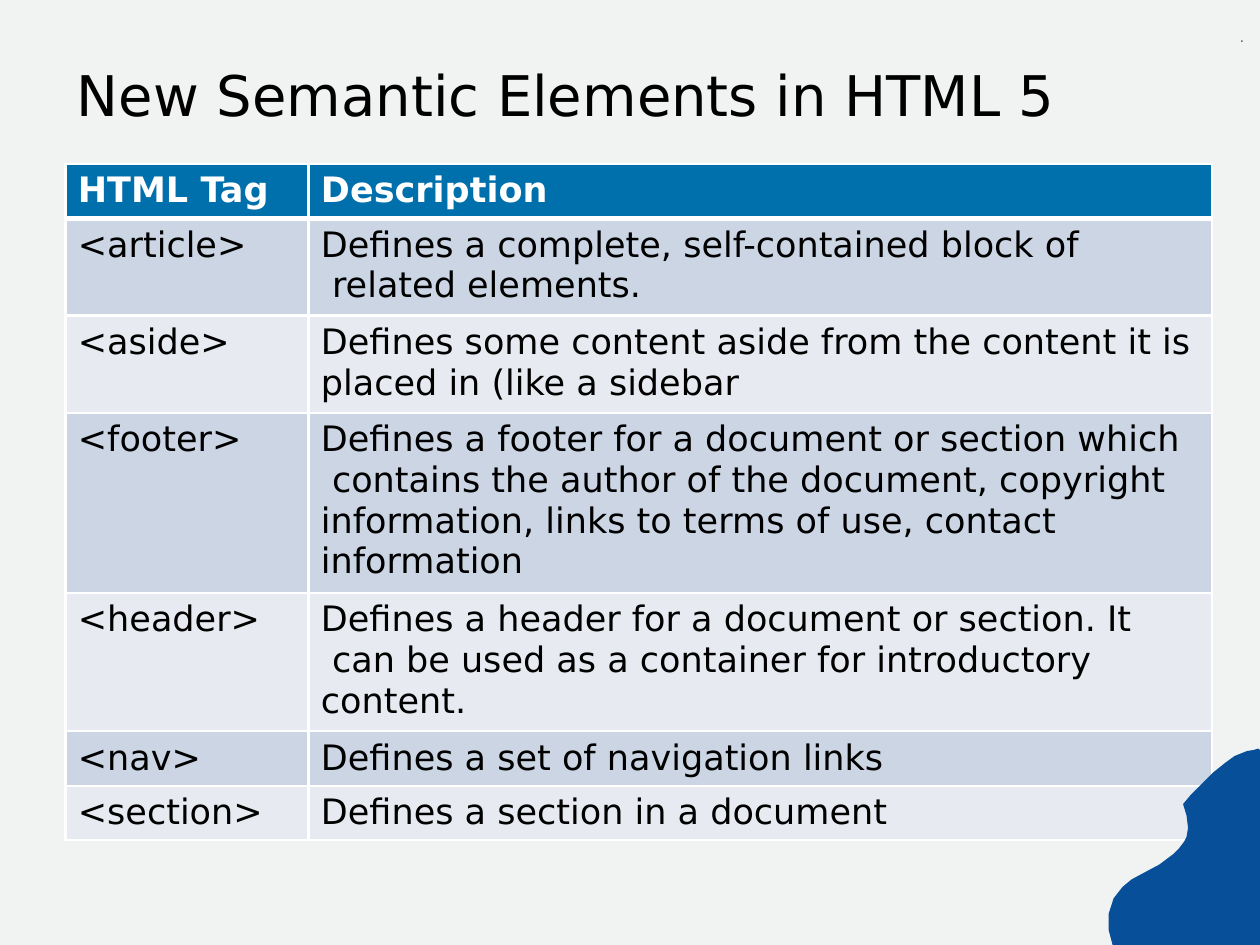
from lxml import etree
from pptx import Presentation
from pptx import util as u
from pptx.dml.color import RGBColor
from pptx.oxml.ns import qn

Cm, Pt = u.Cm, u.Pt
FONT = "DejaVu Sans"
ROWS = [
    ("HTML Tag", "Description", 1.1),
    ("<article>", "Deﬁnes a complete, self-contained block of\v related elements.", 1.96),
    ("<aside>", "Deﬁnes some content aside from the content it is\n"
                "placed in (like a sidebar", 1.96),
    ("<footer>", "Deﬁnes a footer for a document or section which\v"
                 " contains the author of the document, copyright "
                 "information, links to terms of use, contact information", 3.63),
    ("<header>", "Deﬁnes a header for a document or section. It\v"
                 " can be used as a container for introductory content.", 2.79),
    ("<nav>", "Deﬁnes a set of navigation links", 1.1),
    ("<section>", "Deﬁnes a section in a document", 1.1),
]
WAVE = [
    (3.02, 0), (2.92, 0.03), (2.79, 0.05), (2.54, 0.15), (2.36, 0.28), (2.11, 0.48),
    (1.65, 0.94), (1.5, 1.12), (1.57, 1.35), (1.6, 1.6), (1.57, 1.78), (1.52, 1.88),
    (1.42, 2.01), (1.3, 2.13), (1.02, 2.34), (0.74, 2.49), (0.46, 2.64), (0.28, 2.79),
    (0.1, 3.02), (0, 3.33), (0, 3.66), (0.08, 3.96), (3.05, 3.96), (3.05, 0.03),
]


def paint(fill, color):
    fill.solid()
    fill.fore_color.rgb = RGBColor.from_string(color)


def format_runs(tf, size, color="000000", bold=False, font=FONT):
    for p in tf.paragraphs:
        for r in p.runs:
            r.font.name, r.font.size, r.font.bold = font, Pt(size), bold
            r.font.color.rgb = RGBColor.from_string(color)


def add_text(s, box, text, size, **style):
    tf = s.shapes.add_textbox(*map(Cm, box)).text_frame
    tf.word_wrap = True
    tf.margin_left = tf.margin_right = tf.margin_top = tf.margin_bottom = 0
    tf.text = text
    format_runs(tf, size, **style)


def add_border(cell, side, width):
    ln = etree.SubElement(cell._tc.get_or_add_tcPr(), qn(f"a:ln{side}"), w=str(Pt(width)))
    fill = etree.SubElement(ln, qn("a:solidFill"))
    etree.SubElement(fill, qn("a:srgbClr"), val="FFFFFF")


def fill_cell(cell, text, row, fill):
    header = row == 0
    widths = {"L": 1.5, "R": 1.5, "T": 3 if row == 1 else 1.5, "B": 3 if header else 1.5}
    for side, width in widths.items():
        add_border(cell, side, width)
    paint(cell.fill, fill)
    cell.margin_left, cell.margin_top = Cm(0.25), Cm(0.13)
    cell.margin_right = cell.margin_bottom = 0
    cell.text_frame.text = text
    format_runs(cell.text_frame, 20, "FFFFFF" if header else "000000", header)


def add_tag_table(s, left, top, widths):
    height = sum(row[-1] for row in ROWS)
    table = s.shapes.add_table(len(ROWS), len(widths), Cm(left), Cm(top),
                               Cm(sum(widths)), Cm(height)).table
    for column, width in zip(table.columns, widths):
        column.width = Cm(width)
    for i, (*texts, row_height) in enumerate(ROWS):
        table.rows[i].height = Cm(row_height)
        fill = "0070AD" if i == 0 else ("E7EBF1", "CBD5E3")[i % 2]
        for j, text in enumerate(texts):
            fill_cell(table.cell(i, j), text, i, fill)


def add_corner_wave(s, left, top):
    points = [(Cm(left + x), Cm(top + y)) for x, y in WAVE]
    builder = s.shapes.build_freeform(*points[0])
    builder.add_line_segments(points[1:], close=True)
    sp = builder.convert_to_shape()
    sp.shadow.inherit = False
    paint(sp.fill, "084F99")
    sp.line.fill.background()


def main():
    prs = Presentation()
    prs.slide_width, prs.slide_height = Cm(25.4), Cm(19.05)
    s = prs.slides.add_slide(prs.slide_layouts[6])
    paint(s.background.fill, "F1F2F2")
    add_text(s, (1.55, 1.22, 19.86, 1.42), "New Semantic Elements in HTML 5", 32)
    add_tag_table(s, 1.32, 3.3, (4.9, 18.21))
    add_corner_wave(s, 22.35, 15.09)
    add_text(s, (25.02, 0.8, 0.13, 0.15), "R", 1.5, bold=True, font="Cambria")
    prs.save("out.pptx")


if __name__ == "__main__":
    main()
